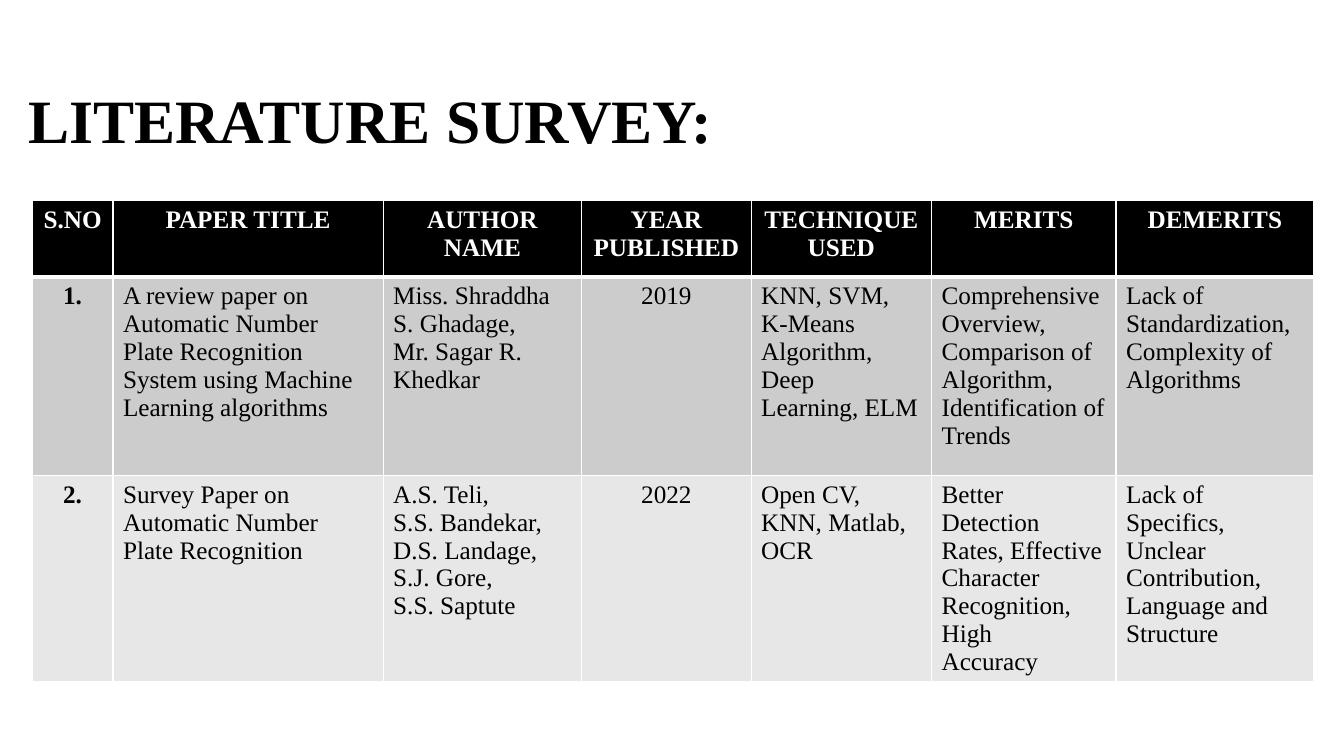
"""Build the literature survey slide with its table of reviewed papers."""
from lxml.etree import SubElement
from pptx import Presentation
from pptx.dml.color import RGBColor
from pptx.enum.text import MSO_ANCHOR as ANCHOR, PP_ALIGN as ALIGN
from pptx.oxml.ns import qn
from pptx.util import Emu, Pt

COLORS = {"black": "000000", "white": "FFFFFF", "odd": "CCCCCC", "even": "E7E7E7"}
TITLE = {"name": "Times New Roman", "size": Pt(44), "bold": True}
BODY = {"name": "Times New Roman", "size": Pt(18), "bold": False}
STRONG = {**BODY, "bold": True}

COL_WIDTHS = [80, 268, 197, 168, 179, 183, 196]
ROW_HEIGHTS = [76, 197, 197]
CENTERED = (0, 3)
PAPERS = [
    ["S.NO", "PAPER TITLE", "AUTHOR\nNAME", "YEAR\nPUBLISHED",
     "TECHNIQUE \nUSED", "MERITS", "DEMERITS"],
    ["1.",
     "A review paper on\nAutomatic Number\nPlate Recognition\n"
     "System using Machine Learning algorithms",
     "Miss. Shraddha S. Ghadage,\nMr. Sagar R. Khedkar",
     "2019",
     "KNN, SVM,\nK-Means Algorithm, Deep \vLearning, ELM",
     "Comprehensive Overview, Comparison of Algorithm, Identification of Trends",
     "Lack of Standardization, Complexity of Algorithms"],
    ["2.",
     "Survey Paper on Automatic Number Plate Recognition",
     "A.S. Teli,\nS.S. Bandekar, D.S. Landage,\nS.J. Gore,\nS.S. Saptute",
     "2022",
     "Open CV, KNN, Matlab, OCR",
     "Better Detection Rates, Effective Character Recognition, High \vAccuracy",
     "Lack of Specifics, Unclear Contribution, Language and Structure"],
]


class Deck:
    """Hold the presentation style and the current slide."""

    def __init__(self, width, height):
        self.prs = Presentation()
        self.prs.slide_width, self.prs.slide_height = self.px(width), self.px(height)
        self.s = self.prs.slides.add_slide(self.prs.slide_layouts[5])

    def px(self, n):
        """Turn hundredths of an inch into EMU."""
        return Emu(n * 9144)

    def put_text(self, tf, text, fmt, color, align):
        """Fill a text frame with uniformly formatted paragraphs."""
        tf.text = text
        for p in tf.paragraphs:
            p.alignment = align
            for r in p.runs:
                for key, value in fmt.items():
                    setattr(r.font, key, value)
                r.font.color.rgb = RGBColor.from_string(COLORS[color])

    def title(self, text, x, y, w, h):
        """Place and format the title placeholder."""
        sp = self.s.shapes.title
        sp.left, sp.top, sp.width, sp.height = map(self.px, (x, y, w, h))
        tf = sp.text_frame
        tf.word_wrap, tf.vertical_anchor = True, ANCHOR.MIDDLE
        self.put_text(tf, text, TITLE, "black", ALIGN.LEFT)
        tf.paragraphs[0].line_spacing = 0.9

    def borders(self, cell, widths):
        """Draw white cell borders with the given widths in points."""
        tc_pr = cell._tc.get_or_add_tcPr()
        for side, width in widths.items():
            ln = SubElement(tc_pr, qn(f"a:ln{side}"), w=str(Pt(width)))
            fill = SubElement(ln, qn("a:solidFill"))
            SubElement(fill, qn("a:srgbClr"), val=COLORS["white"])

    def table(self, rows, x, y):
        """Add the survey table with a dark header and banded rows."""
        box = map(self.px, (x, y, sum(COL_WIDTHS), sum(ROW_HEIGHTS)))
        tbl = self.s.shapes.add_table(len(rows), len(COL_WIDTHS), *box).table
        tbl.horz_banding = False
        for col, width in zip(tbl.columns, COL_WIDTHS):
            col.width = self.px(width)
        for i, (row, height) in enumerate(zip(tbl.rows, ROW_HEIGHTS)):
            row.height = self.px(height)
            fill = "black" if i == 0 else "odd" if i % 2 else "even"
            for j, cell in enumerate(row.cells):
                self.borders(cell, {"L": 1, "R": 1, "T": 3 if i == 1 else 1,
                                    "B": 3 if i == 0 else 1})
                cell.fill.solid()
                cell.fill.fore_color.rgb = RGBColor.from_string(COLORS[fill])
                self.put_text(cell.text_frame, rows[i][j],
                              STRONG if i == 0 or j == 0 else BODY,
                              "white" if i == 0 else "black",
                              ALIGN.CENTER if i == 0 or j in CENTERED else ALIGN.LEFT)


def main():
    """Build and save the slide."""
    deck = Deck(1333, 750)
    deck.title("LITERATURE SURVEY:", 18, 85, 1150, 75)
    deck.table(PAPERS, 32, 199)
    deck.prs.save("out.pptx")


if __name__ == "__main__":
    main()
